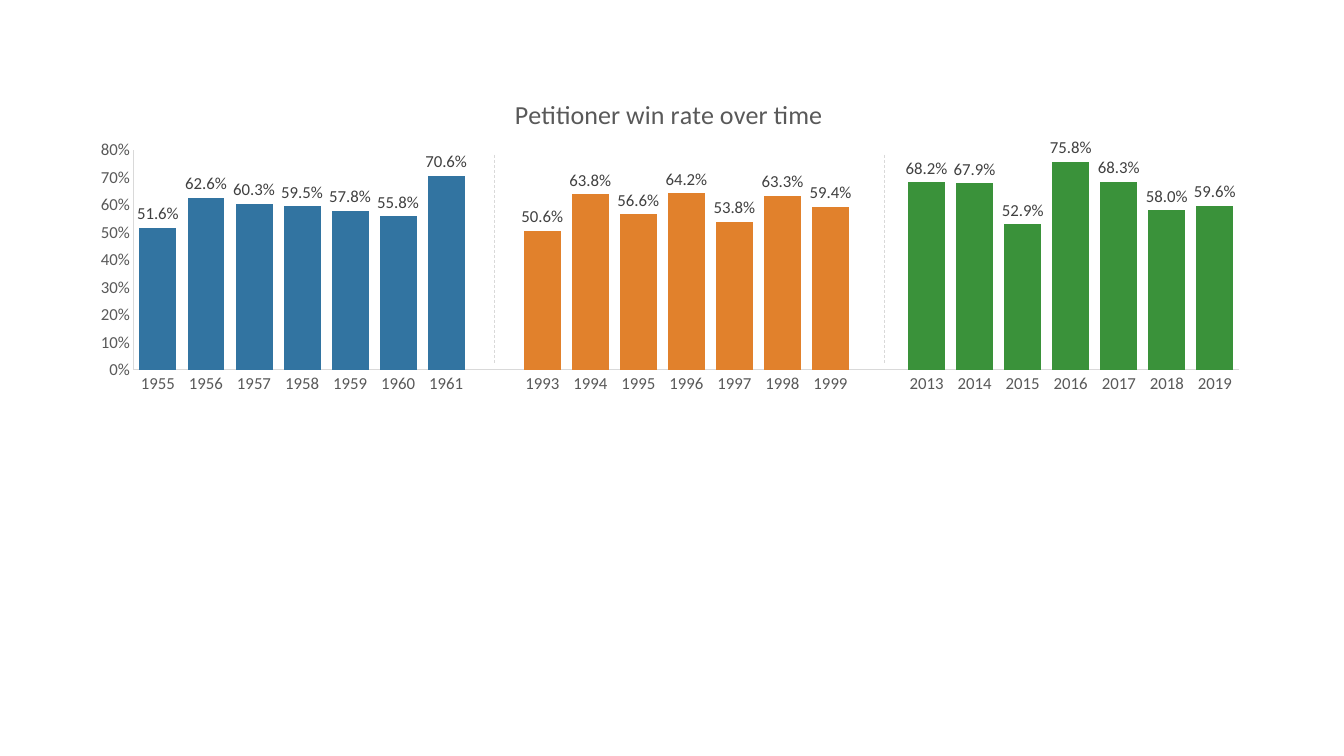
from lxml import etree
from pptx import Presentation
from pptx.chart.data import CategoryChartData
from pptx.dml.color import RGBColor
from pptx.enum.chart import XL_CHART_TYPE, XL_LABEL_POSITION, XL_TICK_MARK
from pptx.enum.dml import MSO_LINE
from pptx.enum.shapes import MSO_CONNECTOR
from pptx.oxml import parse_xml
from pptx.oxml.ns import nsdecls, qn
from pptx.util import Emu, Pt

COLUMNS = XL_CHART_TYPE.COLUMN_CLUSTERED
OUTSIDE_END = XL_LABEL_POSITION.OUTSIDE_END
NO_TICK = XL_TICK_MARK.NONE
DASH = MSO_LINE.DASH
STRAIGHT = MSO_CONNECTOR.STRAIGHT

PIXEL = 914400 / 100.8
COLORS = {"fifties": "3274A1", "nineties": "E1812C", "tens": "3A923A",
          "rule": "D9D9D9", "axis_text": "595959", "label_text": "404040"}
FONT = "Calibri"

# Era: first year and win rate in percent for seven consecutive years
ERAS = {
    "fifties": (1955, [51.6, 62.6, 60.3, 59.5, 57.8, 55.8, 70.6]),
    "nineties": (1993, [50.6, 63.8, 56.6, 64.2, 53.8, 63.3, 59.4]),
    "tens": (2013, [68.2, 67.9, 52.9, 75.8, 68.3, 58.0, 59.6]),
}
CHART_BOX = (77, 80, 1184, 320)
PLOT_BOX = (57, 70, 1105, 220)  # relative to the chart box
VALUE_AXIS = {"minimum_scale": 0, "maximum_scale": 0.8, "major_unit": 0.1,
              "has_major_gridlines": False}
RATE_LABELS = {"show_value": True, "position": OUTSIDE_END,
               "number_format": "0.0%", "number_format_is_linked": False}


def px(length):
    """Turn pixels into EMU."""
    return Emu(round(length * PIXEL))


def color(name):
    """Look up a colour by name."""
    return RGBColor.from_string(COLORS[name])


def apply(target, formats):
    """Set each attribute in a dict of format values."""
    for attribute, value in formats.items():
        setattr(target, attribute, value)


def set_font(font, size, color_name):
    """Give a font its face, size and colour."""
    apply(font, {"name": FONT, "size": Pt(size), "bold": False})
    font.color.rgb = color(color_name)


def set_line(line, width):
    """Draw a line in the light rule colour."""
    line.color.rgb = color("rule")
    line.width = Pt(width)


def win_rate_data():
    """Join the eras into one series and list the era of each column."""
    years, rates, column_eras = [], [], []
    for era, (first_year, percents) in ERAS.items():
        if years:
            years.append("")
            rates.append(None)
            column_eras.append(None)
        for offset, percent in enumerate(percents):
            years.append(str(first_year + offset))
            rates.append(round(percent / 100, 3))
            column_eras.append(era)
    data = CategoryChartData(number_format="0.0%")
    data.categories = years
    data.add_series("Series 1", rates)
    return data, column_eras


def place_plot(chart, chart_size, plot_box):
    """Fix the inner plot area inside the chart."""
    plot_area = chart.plots[0]._element.getparent()
    for old_layout in plot_area.findall(qn("c:layout")):
        plot_area.remove(old_layout)
    layout = parse_xml(f"<c:layout {nsdecls('c')}><c:manualLayout/></c:layout>")
    fractions = [length / chart_size[i % 2] for i, length in enumerate(plot_box)]
    settings = [("layoutTarget", "inner"), ("xMode", "edge"), ("yMode", "edge"),
                *zip("xywh", (f"{value:.4f}" for value in fractions))]
    for tag, value in settings:
        etree.SubElement(layout[0], qn(f"c:{tag}"), val=value)
    plot_area.insert(0, layout)


def add_win_rate_chart(slide, box):
    """Add the column chart of win rates, coloured by era."""
    data, column_eras = win_rate_data()
    chart = slide.shapes.add_chart(COLUMNS, *map(px, box), data).chart
    set_font(chart.font, 12, "axis_text")
    apply(chart, {"has_legend": False, "has_title": True})
    heading = chart.chart_title.text_frame
    heading.text = "Petitioner win rate over time"
    set_font(heading.paragraphs[0].runs[0].font, 18.6, "axis_text")
    chart.chart_title.include_in_layout = False

    apply(chart.value_axis, VALUE_AXIS)
    for axis in (chart.category_axis, chart.value_axis):
        apply(axis, {"major_tick_mark": NO_TICK, "minor_tick_mark": NO_TICK})
        set_font(axis.tick_labels.font, 12, "axis_text")
        set_line(axis.format.line, 0.75)
    apply(chart.value_axis.tick_labels,
          {"number_format": "0%", "number_format_is_linked": False})

    columns = chart.plots[0]
    apply(columns, {"gap_width": 30, "overlap": -27, "vary_by_categories": False,
                    "has_data_labels": True})
    apply(columns.data_labels, RATE_LABELS)
    set_font(columns.data_labels.font, 12, "label_text")
    win_rates = columns.series[0]
    win_rates.format.fill.solid()
    win_rates.format.fill.fore_color.rgb = color("fifties")
    for index, era in enumerate(column_eras):
        if era in ("nineties", "tens"):
            fill = win_rates.points[index].format.fill
            fill.solid()
            fill.fore_color.rgb = color(era)
    place_plot(chart, box[2:], PLOT_BOX)


def add_era_dividers(slide, box):
    """Add a dashed line in each gap between eras."""
    left, top = box[:2]
    for offset in (417, 807):
        x = px(left + offset)
        divider = slide.shapes.add_connector(
            STRAIGHT, x, px(top + 75), x, px(top + 283))
        set_line(divider.line, 0.5)
        divider.line.dash_style = DASH
        etree.SubElement(divider._element.spPr, qn("a:effectLst"))


def main():
    """Build the slide and save it."""
    presentation = Presentation()
    apply(presentation, {"slide_width": px(1344), "slide_height": px(756)})
    slide = presentation.slides.add_slide(presentation.slide_layouts[6])
    add_win_rate_chart(slide, CHART_BOX)
    add_era_dividers(slide, CHART_BOX)
    presentation.save("out.pptx")


main()
